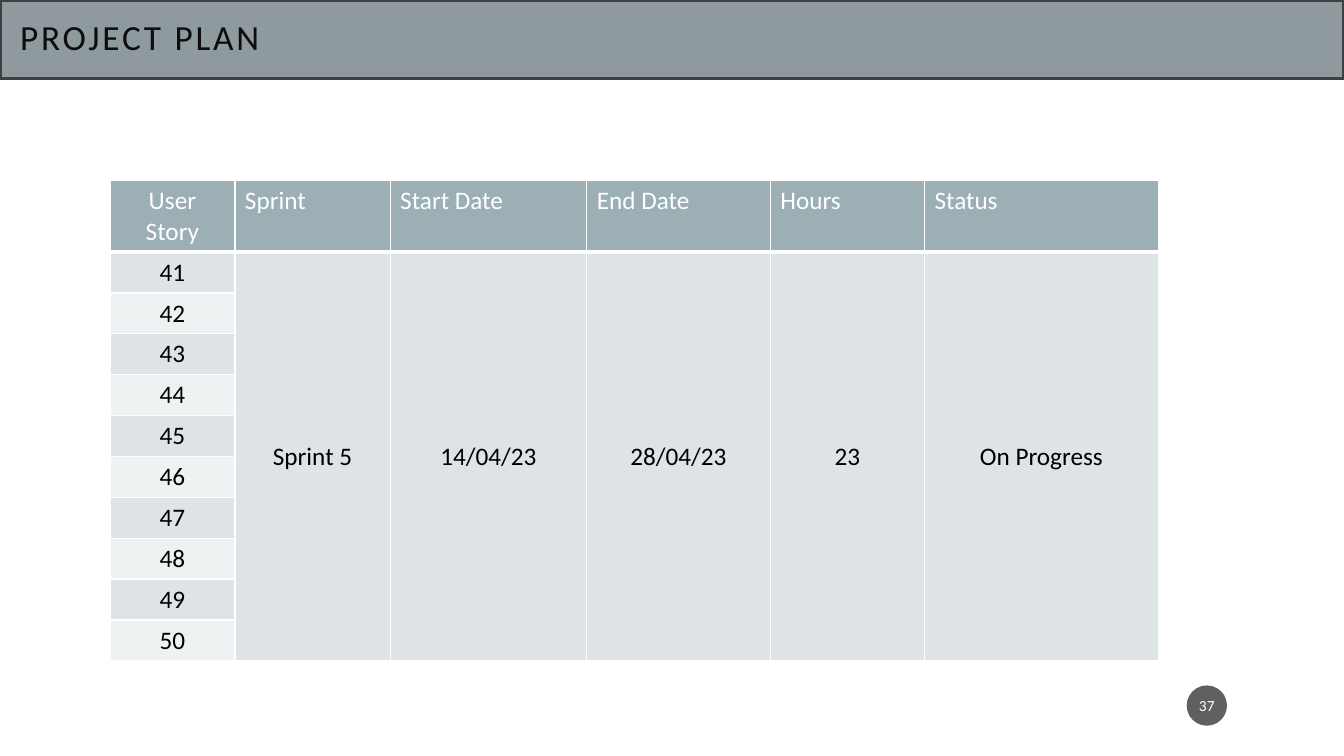
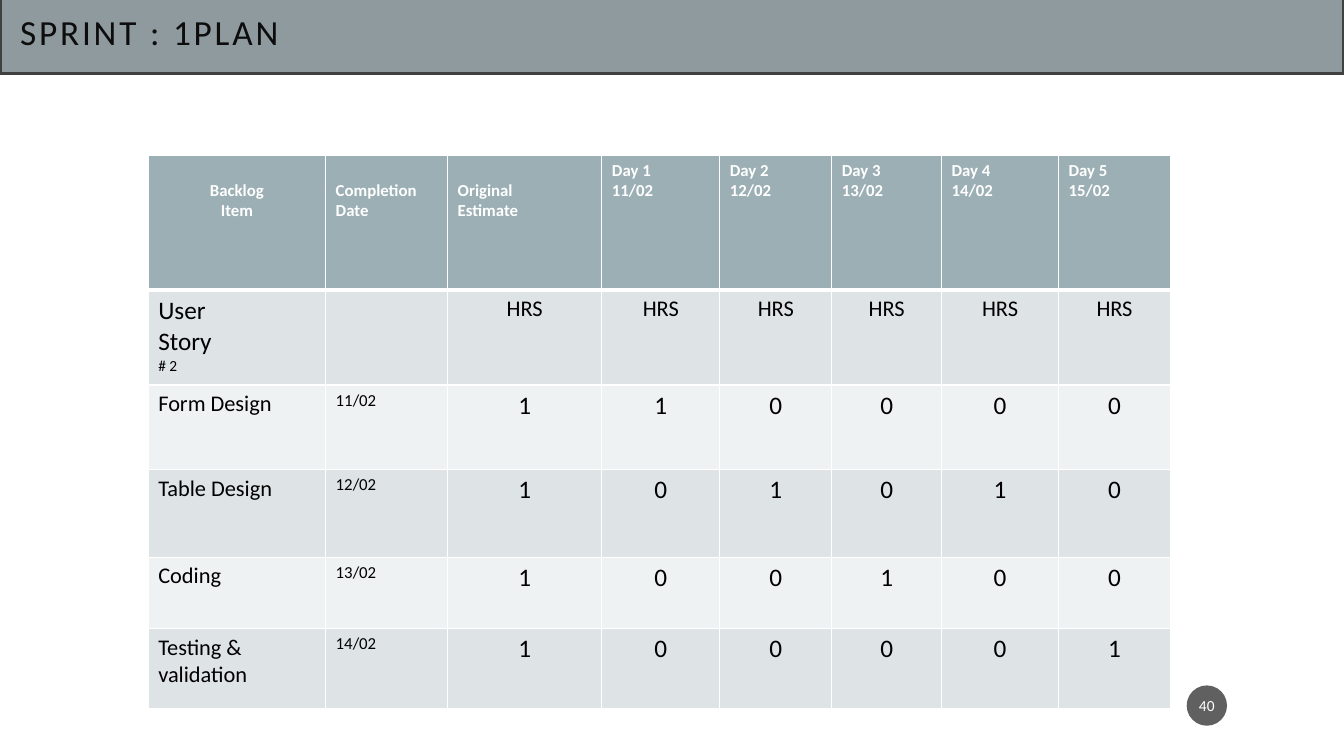
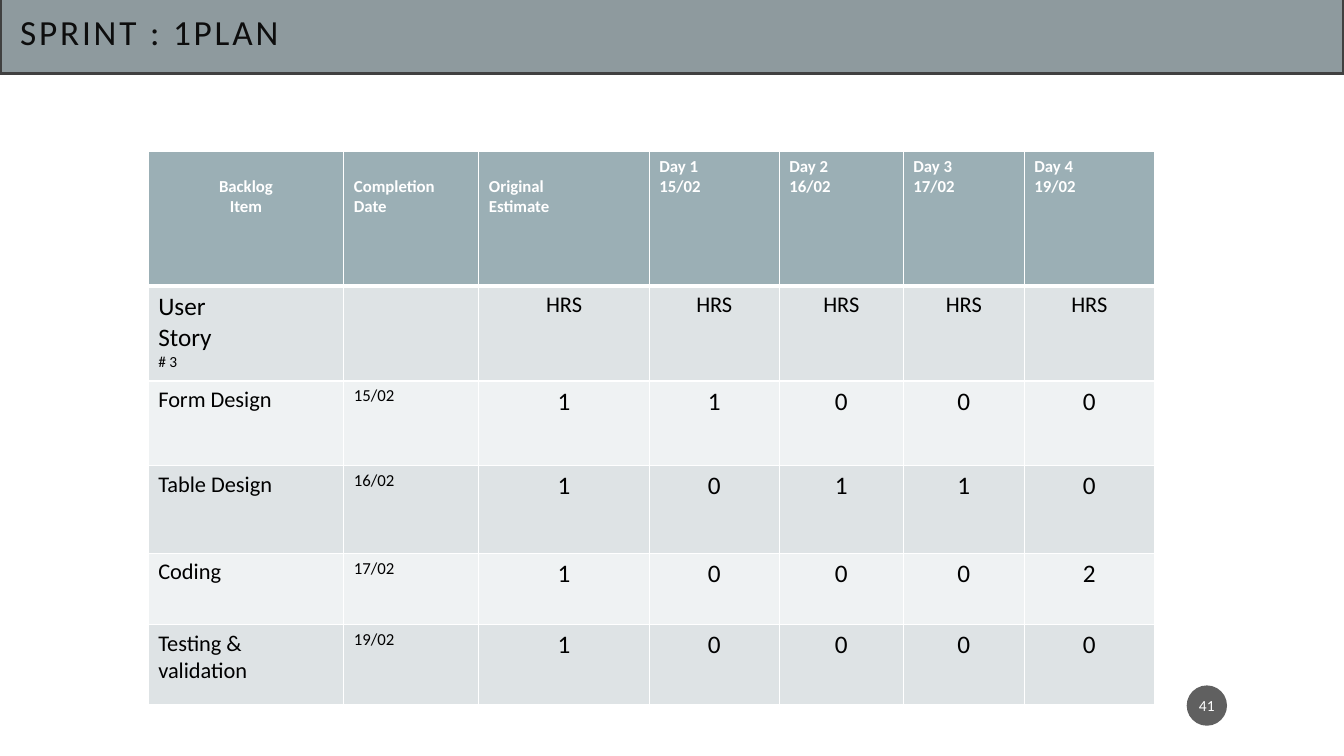
from dataclasses import dataclass

from lxml.etree import SubElement
from pptx import Presentation
from pptx.dml.color import RGBColor
from pptx.enum.shapes import MSO_SHAPE
from pptx.enum.text import MSO_ANCHOR, PP_ALIGN
from pptx.oxml.ns import qn
from pptx.util import Inches, Pt


@dataclass(frozen=True)
class Theme:
    font: str = "Calibri"
    band: str = "8E9A9E"
    band_line: str = "404040"
    title: str = "0D0D0D"
    badge: str = "1D1D1D"
    header: str = "9BAFB5"
    stripes: tuple = ("DEE3E5", "EFF2F3")
    white: str = "FFFFFF"
    ink: str = "000000"
    title_size: float = 25.2
    large: int = 18
    medium: int = 16
    small: int = 12
    tiny: int = 11


THEME = Theme()
SLIDE_WIDTH, SLIDE_HEIGHT = 13.33, 7.5


@dataclass
class Entry:
    """Cell content; last_size applies to the final paragraph only."""
    text: str = ""
    size: int = THEME.large
    bold: bool = False
    centred: bool = False
    last_size: int = 0
    top_inset: float = 0.05
    row_span: int = 1


class Deck:
    def __init__(self, theme):
        self.theme = theme
        self.presentation = Presentation()
        self.presentation.slide_width = Inches(SLIDE_WIDTH)
        self.presentation.slide_height = Inches(SLIDE_HEIGHT)
        self.slide = None

    def start_slide(self, title, number, band_top):
        blank = self.presentation.slide_layouts[6]
        self.slide = self.presentation.slides.add_slide(blank)
        self.title_band(title, band_top)
        self.number_badge(number)

    def panel(self, kind, left, top, width, height, color, text, insets):
        """Add a filled shape with one line of text; return shape and paragraph."""
        shape = self.slide.shapes.add_shape(
            kind, Inches(left), Inches(top), Inches(width), Inches(height))
        shape.shadow.inherit = False
        shape.fill.solid()
        shape.fill.fore_color.rgb = RGBColor.from_string(color)
        frame = shape.text_frame
        frame.word_wrap = True
        frame.vertical_anchor = MSO_ANCHOR.MIDDLE
        frame.margin_left = frame.margin_right = Inches(insets[0])
        frame.margin_top = frame.margin_bottom = Inches(insets[1])
        frame.text = text
        return shape, frame.paragraphs[0]

    def style(self, paragraph, size, color, bold=False, centred=False):
        paragraph.alignment = PP_ALIGN.CENTER if centred else PP_ALIGN.LEFT
        paragraph.font.name = self.theme.font
        paragraph.font.size = Pt(size)
        paragraph.font.bold = bold
        paragraph.font.color.rgb = RGBColor.from_string(color)

    def title_band(self, title, top):
        band, heading = self.panel(MSO_SHAPE.RECTANGLE, 0, top, SLIDE_WIDTH, 0.78,
                                   self.theme.band, title, (0.2, 0.2))
        band.line.color.rgb = RGBColor.from_string(self.theme.band_line)
        band.line.width = Pt(2.5)
        self.style(heading, self.theme.title_size, self.theme.title)
        heading.line_spacing = 0.9
        heading.runs[0].font._element.set("spc", "200")

    def number_badge(self, number):
        badge, label = self.panel(MSO_SHAPE.OVAL, 11.77, 6.8, 0.4, 0.4,
                                  self.theme.badge, str(number), (0.02, 0.05))
        badge.line.fill.background()
        color = badge.fill._xPr.find(qn("a:solidFill"))[0]
        SubElement(color, qn("a:alpha"), val="70000")
        self.style(label, self.theme.tiny, self.theme.white, centred=True)

    def cell_borders(self, cell, row):
        """Draw white rules, thicker between the header and the body."""
        widths = {"L": 1, "R": 1, "T": 3 if row == 1 else 1, "B": 3 if row == 0 else 1}
        properties = cell._tc.get_or_add_tcPr()
        for side, width in widths.items():
            rule = SubElement(properties, qn(f"a:ln{side}"), w=str(Pt(width)))
            fill = SubElement(rule, qn("a:solidFill"))
            SubElement(fill, qn("a:srgbClr"), val=self.theme.white)

    def table(self, left, top, widths, heights, rows):
        table = self.slide.shapes.add_table(
            len(heights), len(widths), Inches(left), Inches(top),
            Inches(sum(widths)), Inches(sum(heights))).table
        for column, width in zip(table.columns, widths):
            column.width = Inches(width)
        for row, height in zip(table.rows, heights):
            row.height = Inches(height)
        for r, entries in enumerate(rows):
            fill = self.theme.stripes[(r - 1) % 2] if r else self.theme.header
            for c in range(len(widths)):
                cell = table.cell(r, c)
                self.cell_borders(cell, r)
                cell.fill.solid()
                cell.fill.fore_color.rgb = RGBColor.from_string(fill)
                if c < len(entries):
                    self.fill_cell(cell, entries[c], header=r == 0)
        for r, entries in enumerate(rows):
            for c, entry in enumerate(entries):
                if entry.row_span > 1:
                    table.cell(r, c).merge(table.cell(r + entry.row_span - 1, c))

    def fill_cell(self, cell, entry, header):
        cell.margin_top = Inches(entry.top_inset)
        if entry.row_span > 1:
            cell.vertical_anchor = MSO_ANCHOR.MIDDLE
        cell.text_frame.text = entry.text
        color = self.theme.white if header else self.theme.ink
        paragraphs = cell.text_frame.paragraphs
        for paragraph in paragraphs:
            self.style(paragraph, entry.size, color, entry.bold, entry.centred)
        if entry.last_size:
            paragraphs[-1].font.size = Pt(entry.last_size)

    def sprint_slide(self, number, table_top, widths, story, days, tasks):
        """Lay out the hours per day for each task of one user story."""
        self.start_slide("SPRINT : 1PLAN", number, -0.05)
        small, medium = self.theme.small, self.theme.medium
        one_line_down = 0.25
        header = [
            Entry("Backlog\nItem", small, True, True, top_inset=one_line_down),
            Entry("Completion Date", small, True, top_inset=one_line_down),
            Entry("Original\nEstimate", small, True, top_inset=one_line_down),
        ] + [Entry(f"Day {i}\n{day}", small, True) for i, day in enumerate(days, 1)]
        units = [Entry(f"User\nStory\n# {story}", last_size=self.theme.tiny),
                 Entry()]
        units += [Entry("HRS", medium, centred=True)] * (len(days) + 1)
        body = [[Entry(task, medium), Entry(done, small)]
                + [Entry(hours, centred=True) for hours in hours_row]
                for task, done, hours_row in tasks]
        self.table(1.47, table_top, widths, [1.34, 0.94, 0.84, 0.87, 0.71, 0.79],
                   [header, units] + body)


def main():
    deck = Deck(THEME)

    deck.start_slide("PROJECT PLAN", 37, 0)
    stories = range(41, 51)
    headings = ["Sprint", "Start Date", "End Date", "Hours", "Status"]
    sprint = ["Sprint 5", "14/04/23", "28/04/23", "23", "On Progress"]
    plan = [[Entry("User Story", centred=True)] + [Entry(h) for h in headings]]
    plan += [[Entry(str(story), centred=True)] for story in stories]
    plan[1] += [Entry(value, centred=True, row_span=len(stories)) for value in sprint]
    deck.table(1.09, 1.79, [1.24, 1.54, 1.95, 1.82, 1.53, 2.32],
               [0.7] + [0.4] * len(stories), plan)

    deck.sprint_slide(
        40, 1.54, [1.76, 1.21, 1.53, 1.17, 1.11, 1.09, 1.16, 1.11], 2,
        ["11/02", "12/02", "13/02", "14/02", "15/02"],
        [("Form Design", "11/02", "110000"),
         ("Table Design", "12/02", "101010"),
         ("Coding", "13/02", "100100"),
         ("Testing & validation", "14/02", "100001")])

    deck.sprint_slide(
        41, 1.5, [1.94, 1.34, 1.69, 1.29, 1.23, 1.2, 1.29], 3,
        ["15/02", "16/02", "17/02", "19/02"],
        [("Form Design", "15/02", "11000"),
         ("Table Design", "16/02", "10110"),
         ("Coding", "17/02", "10002"),
         ("Testing & validation", "19/02", "10000")])

    deck.presentation.save("out.pptx")


if __name__ == "__main__":
    main()
